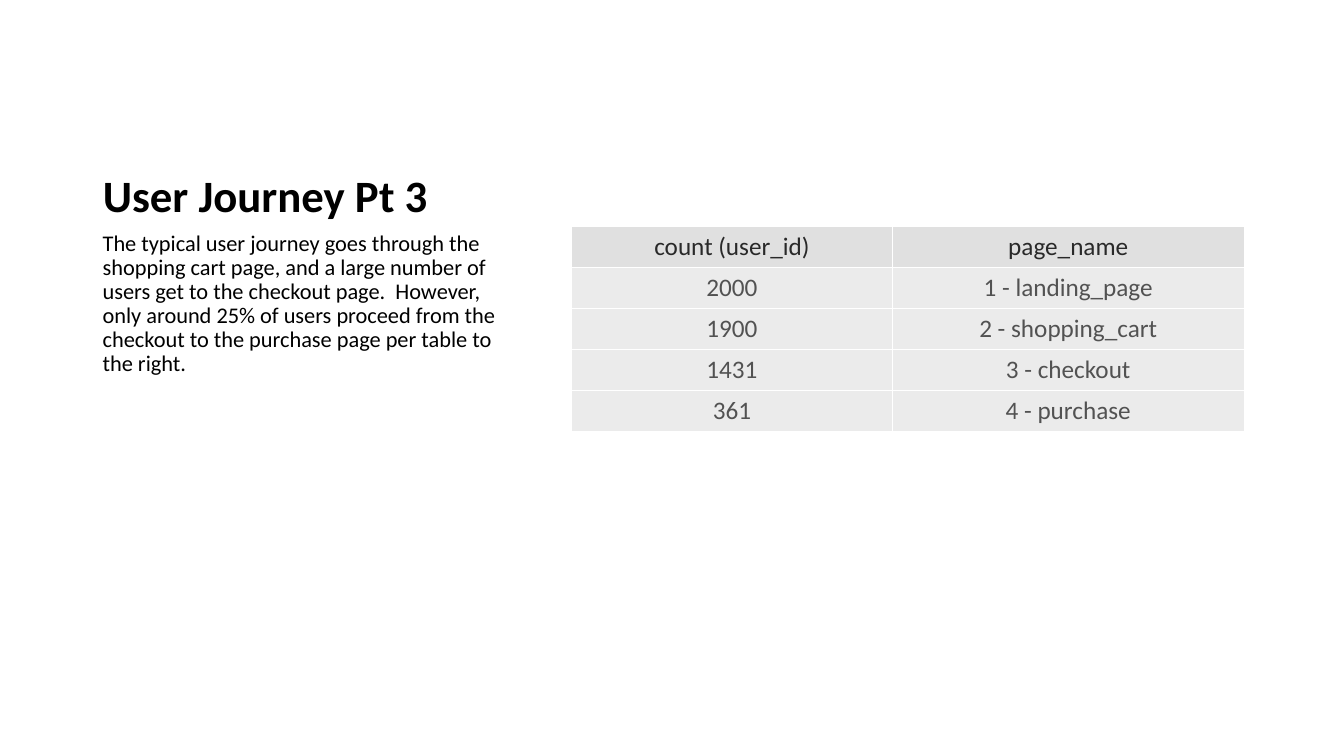
import lxml.etree
import pptx
import pptx.dml.color
import pptx.enum.text
import pptx.oxml.ns
import pptx.util

TITLE = "User Journey Pt 3"
SUMMARY = (
    "The typical user journey goes through the shopping cart page, and a large "
    "number of users get to the checkout page.  However, only around 25% of users "
    "proceed from the checkout to the purchase page per table to the right."
)
FUNNEL = [
    ("count (user_id)", "page_name"),
    ("2000", "1 - landing_page"),
    ("1900", "2 - shopping_cart"),
    ("1431", "3 - checkout"),
    ("361", "4 - purchase"),
]
COLORS = {
    "text": "000000",
    "header_text": "292929",
    "header_fill": "E0E0E0",
    "body_text": "525252",
    "body_fill": "EBEBEB",
    "border": "FFFFFF",
}
FONT = "Calibri"
SLIDE_WIDTH, SLIDE_HEIGHT = 13.33, 7.5
TEXT_LEFT, TEXT_WIDTH = 0.92, 4.3
TITLE_TOP, CONTENT_TOP = 0.5, 2.25
SUMMARY_HEIGHT = 4.17
TABLE_LEFT = 5.67
COLUMN_WIDTHS = (3.18, 3.49)
ROW_HEIGHT = 0.4
BORDER_WIDTH = 0.75

inches = pptx.util.Inches
ANCHOR = pptx.enum.text.MSO_ANCHOR
ALIGN = pptx.enum.text.PP_ALIGN


def rgb(name):
    """Look up a named colour."""
    return pptx.dml.color.RGBColor.from_string(COLORS[name])


def write(frame, text, size, color, anchor, align=ALIGN.LEFT, bold=False):
    """Fill a text frame with one formatted paragraph and return it."""
    frame.text = text
    frame.word_wrap = True
    frame.vertical_anchor = anchor
    para = frame.paragraphs[0]
    para.alignment = align
    font = para.runs[0].font
    font.name, font.size, font.bold = FONT, pptx.util.Pt(size), bold
    font.color.rgb = rgb(color)
    return para


def add_borders(cell):
    """Draw a thin line on all four sides of a cell, ahead of its fill."""
    properties = cell._tc.get_or_add_tcPr()
    qn = pptx.oxml.ns.qn
    for index, side in enumerate(("lnL", "lnR", "lnT", "lnB")):
        line = lxml.etree.Element(qn(f"a:{side}"), w=str(pptx.util.Pt(BORDER_WIDTH)))
        fill = lxml.etree.SubElement(line, qn("a:solidFill"))
        lxml.etree.SubElement(fill, qn("a:srgbClr"), val=COLORS["border"])
        properties.insert(index, line)


def add_title(slide):
    """Place the title above the summary."""
    title = slide.shapes.title
    title.left, title.top = inches(TEXT_LEFT), inches(TITLE_TOP)
    title.width, title.height = inches(TEXT_WIDTH), inches(CONTENT_TOP - TITLE_TOP)
    para = write(title.text_frame, TITLE, 32, "text", ANCHOR.BOTTOM, bold=True)
    para.line_spacing = 0.9
    title.text_frame.auto_size = pptx.enum.text.MSO_AUTO_SIZE.NONE


def add_summary(slide):
    """Place the summary text under the title."""
    box = slide.shapes.add_textbox(
        inches(TEXT_LEFT), inches(CONTENT_TOP), inches(TEXT_WIDTH), inches(SUMMARY_HEIGHT)
    )
    para = write(box.text_frame, SUMMARY, 16, "text", ANCHOR.TOP)
    para.line_spacing = 0.9
    para.space_before = pptx.util.Pt(10)


def add_funnel_table(slide):
    """Place the table of user counts per page."""
    table = slide.shapes.add_table(
        len(FUNNEL), len(COLUMN_WIDTHS), inches(TABLE_LEFT), inches(CONTENT_TOP),
        inches(sum(COLUMN_WIDTHS)), inches(ROW_HEIGHT * len(FUNNEL)),
    ).table
    for column, width in zip(table.columns, COLUMN_WIDTHS):
        column.width = inches(width)
    for row, values in enumerate(FUNNEL):
        part = "body" if row else "header"
        for column, value in enumerate(values):
            cell = table.cell(row, column)
            write(cell.text_frame, value, 18, f"{part}_text", ANCHOR.MIDDLE, ALIGN.CENTER)
            cell.vertical_anchor = ANCHOR.MIDDLE
            cell.fill.solid()
            cell.fill.fore_color.rgb = rgb(f"{part}_fill")
            add_borders(cell)


deck = pptx.Presentation()
deck.slide_width, deck.slide_height = inches(SLIDE_WIDTH), inches(SLIDE_HEIGHT)
page = deck.slides.add_slide(deck.slide_layouts.get_by_name("Title Only"))
add_title(page)
add_funnel_table(page)
add_summary(page)
deck.save("out.pptx")
